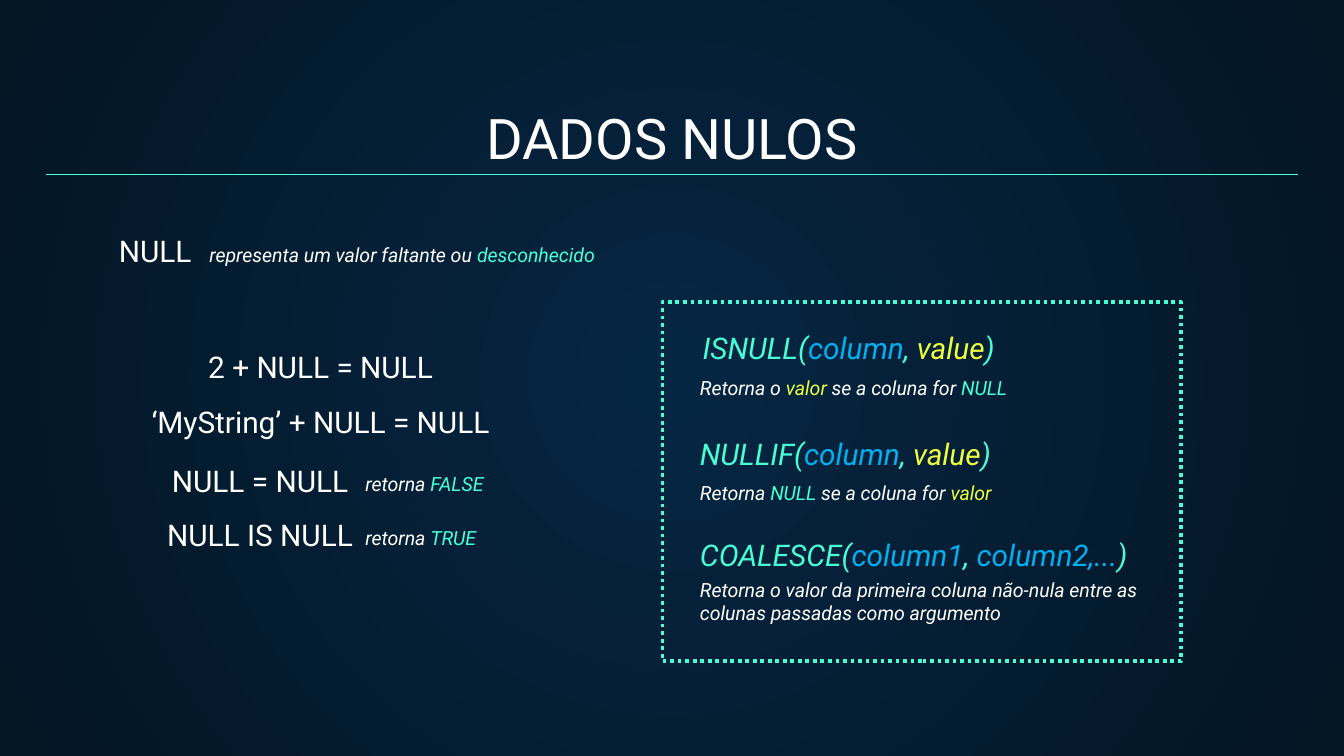
from lxml import etree
from pptx import Presentation
from pptx.dml.color import RGBColor
from pptx.enum.dml import MSO_LINE
from pptx.enum.shapes import MSO_CONNECTOR, MSO_SHAPE
from pptx.enum.text import MSO_ANCHOR, MSO_AUTO_SIZE, PP_ALIGN
from pptx.oxml.ns import qn
from pptx.util import Inches, Pt

LEFT, CENTER = PP_ALIGN.LEFT, PP_ALIGN.CENTER
BOTTOM, NO_FIT = MSO_ANCHOR.BOTTOM, MSO_AUTO_SIZE.NONE
STRAIGHT, RECT, DOTS = MSO_CONNECTOR.STRAIGHT, MSO_SHAPE.RECTANGLE, MSO_LINE.ROUND_DOT
TITLE_ONLY = 5

WIDTH = 10
HEIGHT = WIDTH * 9 / 16
FONT = "Roboto"
TITLE, CODE, NOTE = 30, 16, 10.5
COLORS = {"white": "FFFFFF", "mint": "48FFD5", "blue": "00B0F0",
          "yellow": "EEFF41", "glow": "052643", "edge": "041523"}


def rgb(name):
    return RGBColor.from_string(COLORS[name])


def write(s, runs, size, align=LEFT, italic=False):
    """Fill a shape with one paragraph of (text, colour) runs."""
    tf = s.text_frame
    tf.word_wrap, tf.auto_size, tf.vertical_anchor = True, NO_FIT, BOTTOM
    tf.margin_left = tf.margin_right = tf.margin_top = tf.margin_bottom = Inches(0.1)
    p = tf.paragraphs[0]
    p.alignment = align
    p.font.name, p.font.size, p.font.italic = FONT, Pt(size), italic
    for text, color in runs:
        r = p.add_run()
        r.text = text
        r.font.color.rgb = rgb(color)


def add_text(slide, box, *style, **options):
    s = slide.shapes.add_textbox(*map(Inches, box))
    write(s, *style, **options)


def paint_background(slide):
    fill = slide.background.fill
    fill.gradient()
    for stop, color in zip(fill.gradient_stops, ("glow", "edge")):
        stop.color.rgb = rgb(color)
    # Turn the linear gradient into a circle around the centre
    grad = slide.background._cSld.find(".//" + qn("a:gradFill"))
    grad.remove(grad.find(qn("a:lin")))
    circle = etree.SubElement(grad, qn("a:path"), path="circle")
    etree.SubElement(circle, qn("a:fillToRect"), l="50000", t="50000", r="50000", b="50000")


def add_heading(slide, box, text):
    x, y, w, h = box
    s = slide.shapes.title
    s.left, s.top, s.width, s.height = map(Inches, box)
    write(s, [(text, "white")], TITLE, CENTER)
    # Rule under the title
    rule_y = y + 0.59
    rule = slide.shapes.add_connector(STRAIGHT, *map(Inches, (x, rule_y, x + w, rule_y)))
    rule.line.color.rgb = rgb("mint")
    rule.line.width = Pt(0.75)
    etree.SubElement(rule._element.spPr, qn("a:effectLst"))


def add_definition(slide, box, term, runs):
    x, y, w, h = box
    add_text(slide, (x, y, 1.05, h), [(term, "white")], CODE, CENTER)
    add_text(slide, (x + 0.83, y - 0.06, w - 0.83, 0.54), runs, NOTE, italic=True)


def add_examples(slide, box, examples):
    x, y, w, h = box
    for offset, code, result in examples:
        top = y + offset
        # Expressions with a result move left to make room for it
        left = x - 0.45 if result else x
        add_text(slide, (left, top, w, 0.5), [(code, "white")], CODE, CENTER)
        if result:
            add_text(slide, (x + 1.88, top - 0.06, 1.21, 0.54),
                     [("retorna ", "white"), (result, "mint")], NOTE, italic=True)


def add_functions(slide, box, functions):
    x, y, w, h = box
    # Dotted frame
    frame = slide.shapes.add_shape(RECT, *map(Inches, box))
    frame.shadow.inherit = False
    frame.fill.background()
    frame.line.color.rgb = rgb("mint")
    frame.line.width = Pt(2)
    frame.line.dash_style = DOTS
    # Signature with its explanation below
    for indent, top, width, note_top, note_h, name, args, note in functions:
        signature = [(name + "(", "mint"), args[0], (", ", "mint"), args[1], (")", "mint")]
        add_text(slide, (x + indent, y + top, width, 0.53), signature, CODE, italic=True)
        add_text(slide, (x + 0.18, y + note_top, 3.5, note_h), note, NOTE, italic=True)


def main():
    prs = Presentation()
    prs.slide_width, prs.slide_height = Inches(WIDTH), Inches(HEIGHT)
    slide = prs.slides.add_slide(prs.slide_layouts[TITLE_ONLY])
    paint_background(slide)
    add_heading(slide, (0.34, 0.71, WIDTH - 2 * 0.34, 0.66), "DADOS NULOS")
    add_definition(slide, (0.63, 1.6, 6.44, 0.5), "NULL",
                   [("representa um valor faltante ou ", "white"), ("desconhecido", "mint")])
    # Offset from the top, expression, result
    add_examples(slide, (0.74, 2.46, 3.29, 1.75), [
        (0, "2 + NULL = NULL", None),
        (0.41, "‘MyString’ + NULL = NULL", None),
        (0.85, "NULL = NULL", "FALSE"),
        (1.25, "NULL IS NULL", "TRUE"),
    ])
    column_value = [("column", "blue"), ("value", "yellow")]
    # Indent, signature top and width, note top and height, name, arguments, note
    add_functions(slide, (4.93, 2.25, 3.86, 2.67), [
        (0.2, 0.04, 2.94, 0.28, 0.54, "ISNULL", column_value,
         [("Retorna o ", "white"), ("valor", "yellow"),
          (" se a coluna for ", "white"), ("NULL", "mint")]),
        (0.18, 0.83, 2.94, 1.06, 0.54, "NULLIF", column_value,
         [("Retorna ", "white"), ("NULL", "mint"),
          (" se a coluna for ", "white"), ("valor", "yellow")]),
        (0.18, 1.58, 3.68, 1.83, 0.67, "COALESCE", [("column1", "blue"), ("column2,...", "blue")],
         [("Retorna o valor da primeira coluna não-nula entre as "
           "colunas passadas como argumento", "white")]),
    ])
    prs.save("out.pptx")


if __name__ == "__main__":
    main()
